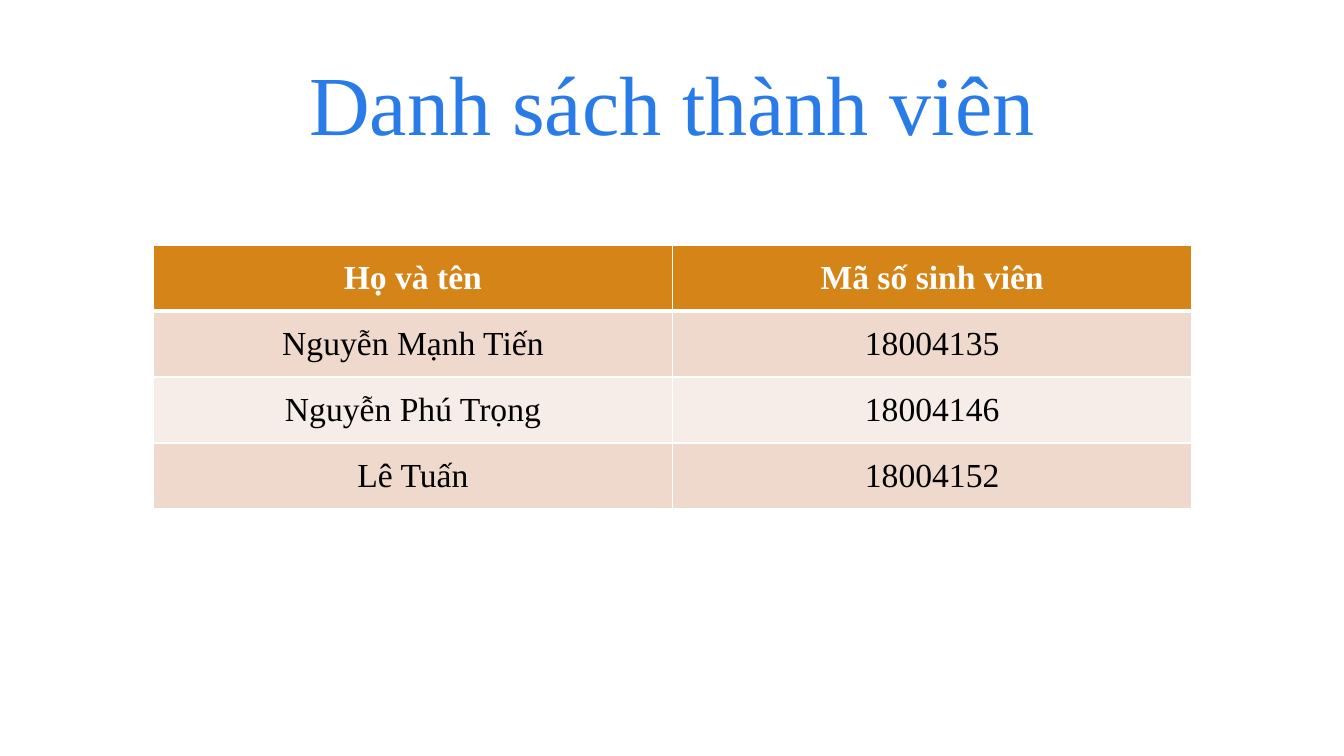
"""Build a slide listing the team members and their student numbers."""
from lxml import etree
from pptx import Presentation
from pptx.dml.color import RGBColor
from pptx.enum.text import MSO_ANCHOR, PP_ALIGN
from pptx.oxml.ns import qn
from pptx.util import Inches, Pt

CENTER = PP_ALIGN.CENTER
MIDDLE = MSO_ANCHOR.MIDDLE
BLUE = RGBColor(0x29, 0x7C, 0xE7)
ORANGE = RGBColor(0xD5, 0x84, 0x17)
PEACH = RGBColor(0xEF, 0xD9, 0xCC)
PALE_PEACH = RGBColor(0xF7, 0xED, 0xE8)
WHITE = RGBColor(0xFF, 0xFF, 0xFF)
BLACK = RGBColor(0x00, 0x00, 0x00)

MEMBERS = [
    ("Họ và tên", "Mã số sinh viên"),
    ("Nguyễn Mạnh Tiến", "18004135"),
    ("Nguyễn Phú Trọng", "18004146"),
    ("Lê Tuấn", "18004152"),
]


def write(frame, text, size, color, bold=False):
    paragraph = frame.paragraphs[0]
    paragraph.alignment = CENTER
    run = paragraph.add_run()
    run.text = text
    run.font.name = "Times New Roman"
    run.font.size = Pt(size)
    run.font.bold = bold
    run.font.color.rgb = color


def add_borders(cell, widths):
    properties = cell._tc.get_or_add_tcPr()
    for position, (side, width) in enumerate(widths.items()):
        line = etree.Element(qn("a:" + side), w=str(Pt(width)))
        fill = etree.SubElement(line, qn("a:solidFill"))
        etree.SubElement(fill, qn("a:srgbClr"), val=str(WHITE))
        properties.insert(position, line)


prs = Presentation()
prs.slide_width = Inches(13.33)
prs.slide_height = Inches(7.5)
slide = prs.slides.add_slide(prs.slide_layouts[6])

member_table = slide.shapes.add_table(
    len(MEMBERS), 2, Inches(1.52), Inches(2.43), Inches(10.3), Inches(2.62)
).table
for column in member_table.columns:
    column.width = Inches(5.15)
for row in member_table.rows:
    row.height = Inches(0.655)

for row_index, member in enumerate(MEMBERS):
    is_header = row_index == 0
    row_fill = ORANGE if is_header else (PALE_PEACH, PEACH)[row_index % 2]
    for column_index, value in enumerate(member):
        cell = member_table.cell(row_index, column_index)
        cell.vertical_anchor = MIDDLE
        cell.fill.solid()
        cell.fill.fore_color.rgb = row_fill
        add_borders(cell, {
            "lnL": 1,
            "lnR": 1,
            "lnT": 3 if row_index == 1 else 1,
            "lnB": 3 if is_header else 1,
        })
        write(cell.text_frame, value, 24, WHITE if is_header else BLACK, bold=is_header)

title = slide.shapes.add_textbox(Inches(2.93), Inches(0.46), Inches(7.47), Inches(1.11))
title.text_frame.word_wrap = False
write(title.text_frame, "Danh sách thành viên", 60, BLUE)

prs.save("out.pptx")
